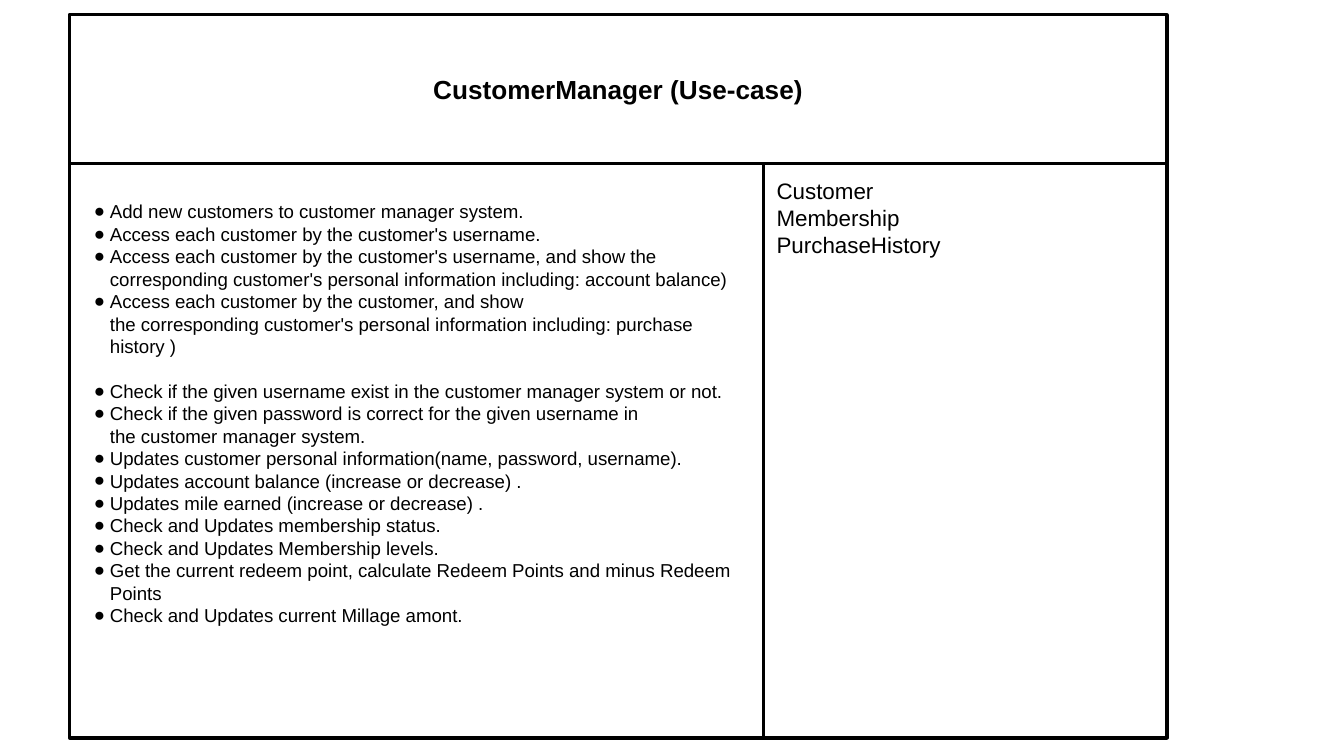
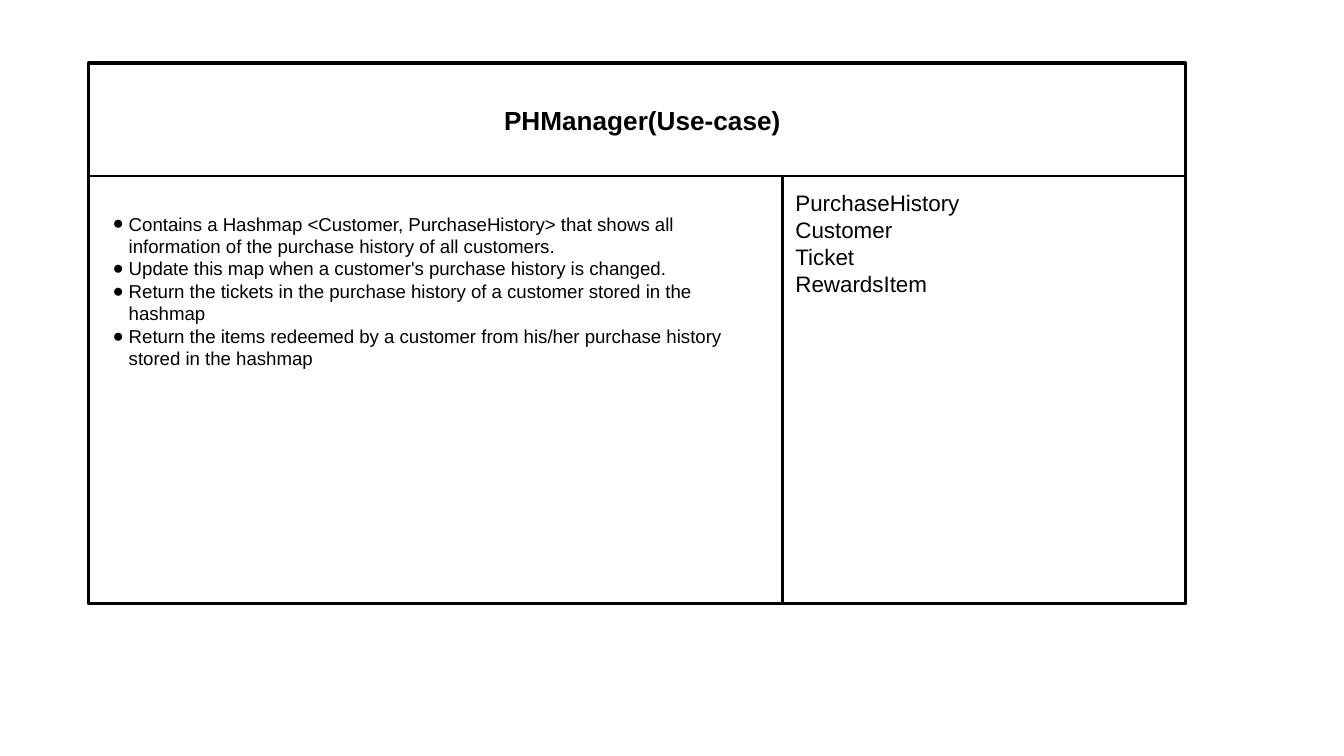
from dataclasses import dataclass

from lxml import etree
from pptx import Presentation
from pptx.dml.color import RGBColor
from pptx.enum.shapes import MSO_SHAPE
from pptx.enum.text import MSO_ANCHOR, PP_ALIGN
from pptx.oxml.ns import qn
from pptx.util import Inches, Pt

RECTANGLE = MSO_SHAPE.RECTANGLE
TOP, MIDDLE = MSO_ANCHOR.TOP, MSO_ANCHOR.MIDDLE
LEFT, CENTER = PP_ALIGN.LEFT, PP_ALIGN.CENTER

BLACK = RGBColor(0x00, 0x00, 0x00)
WHITE = RGBColor(0xFF, 0xFF, 0xFF)

SLIDE_WIDTH = 10
SLIDE_HEIGHT = SLIDE_WIDTH * 9 / 16
CARD_WIDTH = 8.16
DUTIES_WIDTH = 5.16
INSET = 0.1
DUTIES_TOP_INSET = 0.27
BULLET_MARGIN = 0.2
BULLET_HANG = -0.12
GROUP_GAP = 12
TIE = "~"
NO_BREAK_SPACE = chr(160)

TITLE_FONT = {"name": "Arial", "size": Pt(14), "bold": True}
DUTY_FONT = {"name": "Arial", "size": Pt(10), "bold": False}
COLLABORATOR_FONT = {"name": "Arial", "size": Pt(12), "bold": False}


@dataclass
class Card:
    left: float
    top: float
    height: float
    header_height: float
    title: str
    title_indent: float
    duty_groups: list
    collaborators: list


CARDS = [
    Card(
        left=0.52, top=0.11, height=5.38, header_height=1.11,
        title="CustomerManager (Use-case)", title_indent=0,
        duty_groups=[
            [
                "Add new customers to customer manager system.",
                "Access each customer~by the customer's username.",
                "Access each customer~by the customer's username,~and show the corresponding~customer's "
                "personal information including:~account balance)",
                "Access each customer~by the customer,~and show the~corresponding~customer's "
                "personal information including: purchase history~)",
            ],
            [
                "Check if the given username exist in the~customer manager~system or not.",
                "Check if the given password is correct for the given username~in the~customer manager~system.",
                "Updates customer personal information(name, password,~username).",
                "Updates~account balance (increase or decrease) .",
                "Updates~mile earned~(increase or decrease) .",
                "Check and Updates~membership status.",
                "Check and Updates~Membership levels.",
                "Get the current redeem point,~calculate Redeem Points and minus~Redeem Points~",
                "Check and Updates~current~Millage amont.",
            ],
        ],
        collaborators=["Customer", "Membership", "PurchaseHistory"],
    ),
    Card(
        left=0.66, top=0.47, height=4.02, header_height=0.84,
        title="PHManager(Use-case)", title_indent=0.08,
        duty_groups=[
            [
                "Contains a Hashmap <Customer, PurchaseHistory> that shows all information "
                "of the purchase history of all customers.",
                "Update this map when a customer's purchase history is changed.",
                "Return the tickets in the purchase history of a customer stored in the hashmap",
                "Return the items redeemed by a customer from his/her purchase history stored in the hashmap",
            ],
        ],
        collaborators=["PurchaseHistory", "Customer", "Ticket", "RewardsItem"],
    ),
]


def add_box(group, left, top, width, height, line_width=1.5):
    box = group.shapes.add_shape(RECTANGLE, Inches(left), Inches(top), Inches(width), Inches(height))
    box.shadow.inherit = False
    box.fill.solid()
    box.fill.fore_color.rgb = WHITE
    box.line.color.rgb = BLACK
    box.line.width = Pt(line_width)
    return box


def set_indent(paragraph, margin, first_line=0):
    properties = paragraph._p.get_or_add_pPr()
    properties.set("marL", str(Inches(margin)))
    properties.set("indent", str(Inches(first_line)))
    return properties


def add_bullet(paragraph):
    properties = set_indent(paragraph, BULLET_MARGIN, BULLET_HANG)
    color = etree.SubElement(properties, qn("a:buClr"))
    etree.SubElement(color, qn("a:srgbClr"), val=str(BLACK))
    etree.SubElement(properties, qn("a:buFont"), typeface="Arial")
    etree.SubElement(properties, qn("a:buChar"), char="●")


def write_lines(box, lines, font_format, alignment=LEFT, anchor=TOP, top_inset=INSET, bulleted=False):
    frame = box.text_frame
    frame_format = {
        "word_wrap": True,
        "vertical_anchor": anchor,
        "margin_left": Inches(INSET),
        "margin_right": Inches(INSET),
        "margin_top": Inches(top_inset),
        "margin_bottom": Inches(INSET),
    }
    for name, value in frame_format.items():
        setattr(frame, name, value)
    for index, line in enumerate(lines):
        paragraph = frame.add_paragraph() if index else frame.paragraphs[0]
        paragraph.alignment = alignment
        if bulleted:
            add_bullet(paragraph)
        run = paragraph.add_run()
        run.text = line.replace(TIE, NO_BREAK_SPACE)
        for name, value in font_format.items():
            setattr(run.font, name, value)
        run.font.color.rgb = BLACK
    return frame.paragraphs


def add_header(group, card):
    box = add_box(group, card.left, card.top, CARD_WIDTH, card.header_height)
    paragraphs = write_lines(box, [card.title], TITLE_FONT, CENTER, MIDDLE)
    set_indent(paragraphs[0], card.title_indent)


def add_duties(group, card, top, height):
    box = add_box(group, card.left, top, DUTIES_WIDTH, height)
    duties = [duty for duty_group in card.duty_groups for duty in duty_group]
    paragraphs = write_lines(box, duties, DUTY_FONT, top_inset=DUTIES_TOP_INSET, bulleted=True)
    start = 0
    for duty_group in card.duty_groups[:-1]:
        start += len(duty_group)
        paragraphs[start].space_before = Pt(GROUP_GAP)


def add_collaborators(group, card, top, height):
    box = add_box(group, card.left + DUTIES_WIDTH, top, CARD_WIDTH - DUTIES_WIDTH, height)
    write_lines(box, card.collaborators, COLLABORATOR_FONT)


def add_card(slide, card):
    group = slide.shapes.add_group_shape()
    body_top = card.top + card.header_height
    body_height = card.height - card.header_height
    add_box(group, card.left, card.top, CARD_WIDTH, card.height, line_width=2.25)
    add_header(group, card)
    add_duties(group, card, body_top, body_height)
    add_collaborators(group, card, body_top, body_height)


def main():
    presentation = Presentation()
    presentation.slide_width = Inches(SLIDE_WIDTH)
    presentation.slide_height = Inches(SLIDE_HEIGHT)
    blank_layout = presentation.slide_layouts[6]
    for card in CARDS:
        slide = presentation.slides.add_slide(blank_layout)
        add_card(slide, card)
    presentation.save("out.pptx")


if __name__ == "__main__":
    main()
